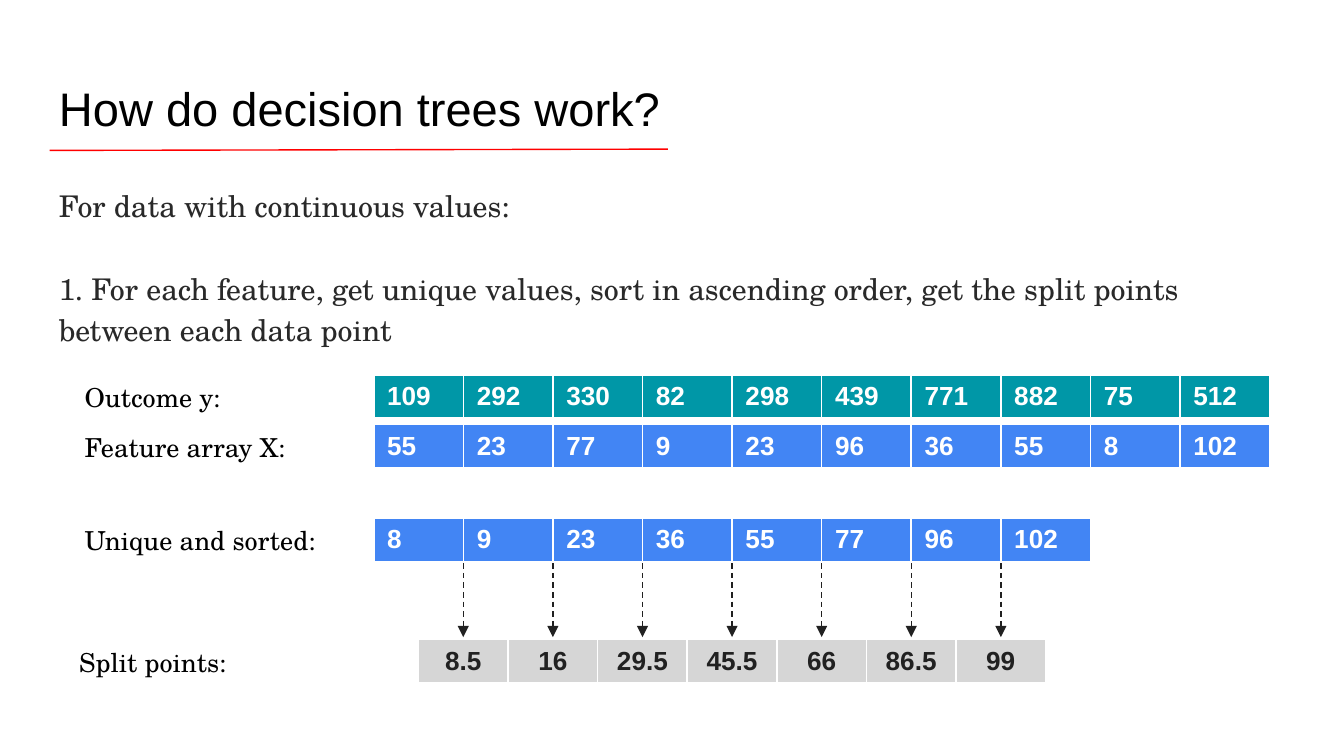
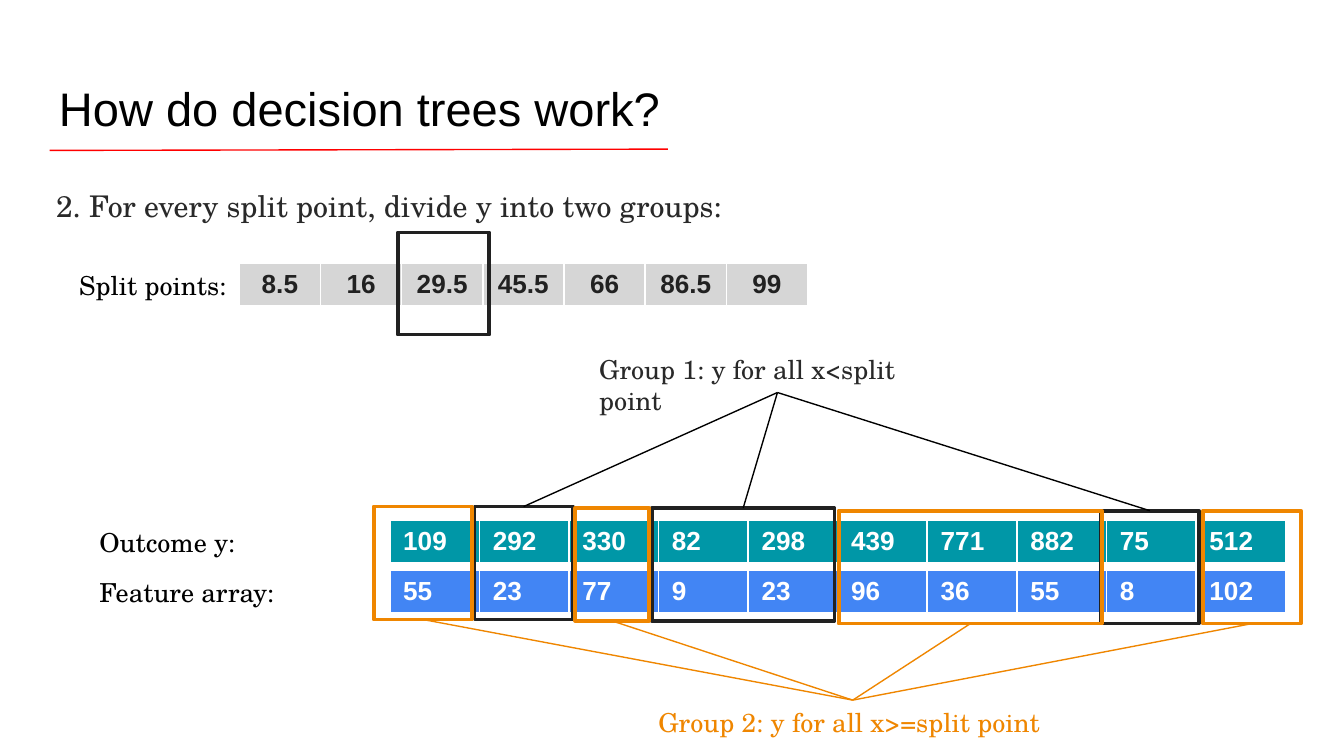
"""Build two slides on how decision trees split continuous data."""
from pptx import Presentation
from pptx.dml.color import RGBColor
from pptx.enum.dml import MSO_LINE
from pptx.enum.shapes import MSO_CONNECTOR, MSO_SHAPE
from pptx.enum.text import PP_ALIGN
from pptx.oxml import parse_xml
from pptx.oxml.ns import nsdecls, qn
from pptx.oxml.xmlchemy import OxmlElement as Elem
from pptx.util import Pt

BLACK = RGBColor(0x00, 0x00, 0x00)
WHITE = RGBColor(0xFF, 0xFF, 0xFF)
INK = RGBColor(0x29, 0x29, 0x29)
DARK = RGBColor(0x21, 0x21, 0x21)
RED = RGBColor(0xFF, 0x00, 0x00)
TEAL = RGBColor(0x00, 0x97, 0xA7)
BLUE = RGBColor(0x42, 0x85, 0xF4)
GREY = RGBColor(0xD6, 0xD6, 0xD6)
ORANGE = RGBColor(0xEF, 0x86, 0x00)
SANS, SERIF = "Arial", "TeX Gyre Schola"

TITLE = "How do decision trees work?"
INTRO = [
    "For data with continuous values:",
    "1. For each feature, get unique values, sort in ascending order, "
    "get the split points between each data point",
]
STEP_TWO = ["2. For every split point, divide y into two groups:"]
OUTCOME = [109, 292, 330, 82, 298, 439, 771, 882, 75, 512]
FEATURE = [55, 23, 77, 9, 23, 96, 36, 55, 8, 102]
UNIQUE = sorted(set(FEATURE))
SPLITS = [(a + b) / 2 for a, b in zip(UNIQUE, UNIQUE[1:])]

GROUP_1 = ("Group 1: y for all x<split point", (313.9, 185.8, 205.2, 24.5), INK)
GROUP_2 = ("Group 2: y for all x>=split point", (345.6, 375.1, 222.5, 24.5), ORANGE)
BOXES_1 = [(254.2, 271.4, 52.6), (349.2, 272.2, 97.9), (589.7, 273.6, 52.6)]
BOXES_2 = [(200.2, 271.4, 52.6), (449.3, 273.6, 141.1),
           (644.4, 273.6, 52.6), (308.2, 272.2, 39.6)]
BOX_H = 60.5
CELL_W, CELL_H, NARROW_W = 48, 21, 43.5
ROW_X = 200.2


def add_text(s, box, paras, size, color, font=SERIF, pad=3.6, spacing=None,
             gap=0, highlight=True):
    sp = s.shapes.add_textbox(*map(Pt, box))
    tf = sp.text_frame
    tf.word_wrap = True
    tf.margin_left = tf.margin_right = Pt(7.2)
    tf.margin_top = tf.margin_bottom = Pt(pad)
    for i, text in enumerate(paras):
        p = tf.add_paragraph() if i else tf.paragraphs[0]
        p.line_spacing = spacing
        p.space_before = Pt(gap if i else 0)
        r = p.add_run()
        r.text = text
        r.font.size, r.font.name = Pt(size), font
        r.font.color.rgb = color
        if highlight:
            mark = parse_xml(f'<a:highlight {nsdecls("a")}>'
                             f'<a:srgbClr val="{WHITE}"/></a:highlight>')
            r.font._element.find(qn("a:solidFill")).addnext(mark)
    return sp


def add_label(s, x, y, text):
    return add_text(s, (x, y, 157, 24.5), [text], 14, BLACK, highlight=False)


def add_line(s, x1, y1, x2, y2, color):
    c = s.shapes.add_connector(MSO_CONNECTOR.STRAIGHT, *map(Pt, (x1, y1, x2, y2)))
    c.line.color.rgb = color
    c.line.width = Pt(0.75)
    c._element.spPr.append(Elem("a:effectLst"))
    return c


def add_arrow(s, x, top, bottom):
    c = add_line(s, x, top, x, bottom, DARK)
    c.line.dash_style = MSO_LINE.DASH
    tail = Elem("a:tailEnd")
    tail.set("type", "triangle")
    c.line._get_or_add_ln().append(tail)


def add_row(s, x, y, values, fill, color=WHITE, width=CELL_W, align=PP_ALIGN.LEFT):
    frame = s.shapes.add_table(1, len(values), Pt(x), Pt(y),
                               Pt(width * len(values)), Pt(CELL_H))
    table = frame.table
    table.first_row = table.horz_banding = False
    for col, cell, value in zip(table.columns, table.rows[0].cells, values):
        col.width = Pt(width)
        tcPr = cell._tc.get_or_add_tcPr()
        for side, weight in zip("LRTB", (1, 1, 1, 3)):
            tcPr.append(parse_xml(
                f'<a:ln{side} {nsdecls("a")} w="{Pt(weight)}"><a:solidFill>'
                f'<a:srgbClr val="{WHITE}"/></a:solidFill></a:ln{side}>'))
        cell.fill.solid()
        cell.fill.fore_color.rgb = fill
        p = cell.text_frame.paragraphs[0]
        p.alignment = align
        r = p.add_run()
        r.text = f"{value:g}"
        r.font.size, r.font.name, r.font.bold = Pt(14), SANS, True
        r.font.color.rgb = color


def add_splits(s, x, y, width):
    add_row(s, x, y, SPLITS, GREY, DARK, width, PP_ALIGN.CENTER)
    add_label(s, 35.3, y, "Split points:")


def add_box(s, x, y, w, h, color):
    sp = s.shapes.add_shape(MSO_SHAPE.RECTANGLE, *map(Pt, (x, y, w, h)))
    sp.shadow.inherit = False
    sp.fill.background()
    sp.line.color.rgb = color
    sp.line.width = Pt(2)
    return sp


def add_group(s, group, boxes, box_color, line_color, box_side, label_side):
    text, place, color = group
    label = add_text(s, place, [text], 14, color)
    for x, y, w in boxes:
        sp = add_box(s, x, y, w, BOX_H, box_color)
        c = add_line(s, 0, 0, 0, 0, line_color)
        c.begin_connect(sp, box_side)
        c.end_connect(label, label_side)


def new_slide(prs, body_x, body):
    s = prs.slides.add_slide(prs.slide_layouts[6])
    add_text(s, (24.5, 35.3, 671, 45.4), [TITLE], 25.2, BLACK, SANS, 7.2,
             highlight=False)
    add_text(s, (body_x, 90.7, 651, 157), body, 16, INK, pad=7.2,
             spacing=1.15, gap=22.2)
    add_line(s, 26.6, 80.6, 357.8, 79.9, RED)
    return s


def split_slide(prs):
    s = new_slide(prs, 24.5, INTRO)
    rows = [("Outcome y:", 200.9, OUTCOME, TEAL),
            ("Feature array X:", 227.5, FEATURE, BLUE),
            ("Unique and sorted:", 277.6, UNIQUE, BLUE)]
    for text, y, values, fill in rows:
        add_row(s, ROW_X, y, values, fill)
        add_label(s, 38.2, y, text)
    for i in range(len(SPLITS)):
        add_arrow(s, ROW_X + CELL_W * (i + 1), 301.7, 341.3)
    add_splits(s, ROW_X + CELL_W / 2, 342.7, CELL_W)


def group_slide(prs):
    s = new_slide(prs, 23, STEP_TWO)
    rows = [("Outcome y:", 278.6, OUTCOME, TEAL),
            ("Feature array:", 305.3, FEATURE, BLUE)]
    for text, y, values, fill in rows:
        add_row(s, 208.8, y, values, fill)
        add_label(s, 46.1, y, text)
    add_splits(s, 128.2, 140.8, NARROW_W)
    add_box(s, 213.1, 124.6, 49, 54.7, DARK)
    add_group(s, GROUP_1, BOXES_1, DARK, BLACK, 0, 2)
    add_group(s, GROUP_2, BOXES_2, ORANGE, ORANGE, 2, 0)


def main():
    prs = Presentation()
    prs.slide_width, prs.slide_height = Pt(720), Pt(405)
    split_slide(prs)
    group_slide(prs)
    prs.save("out.pptx")


if __name__ == "__main__":
    main()
